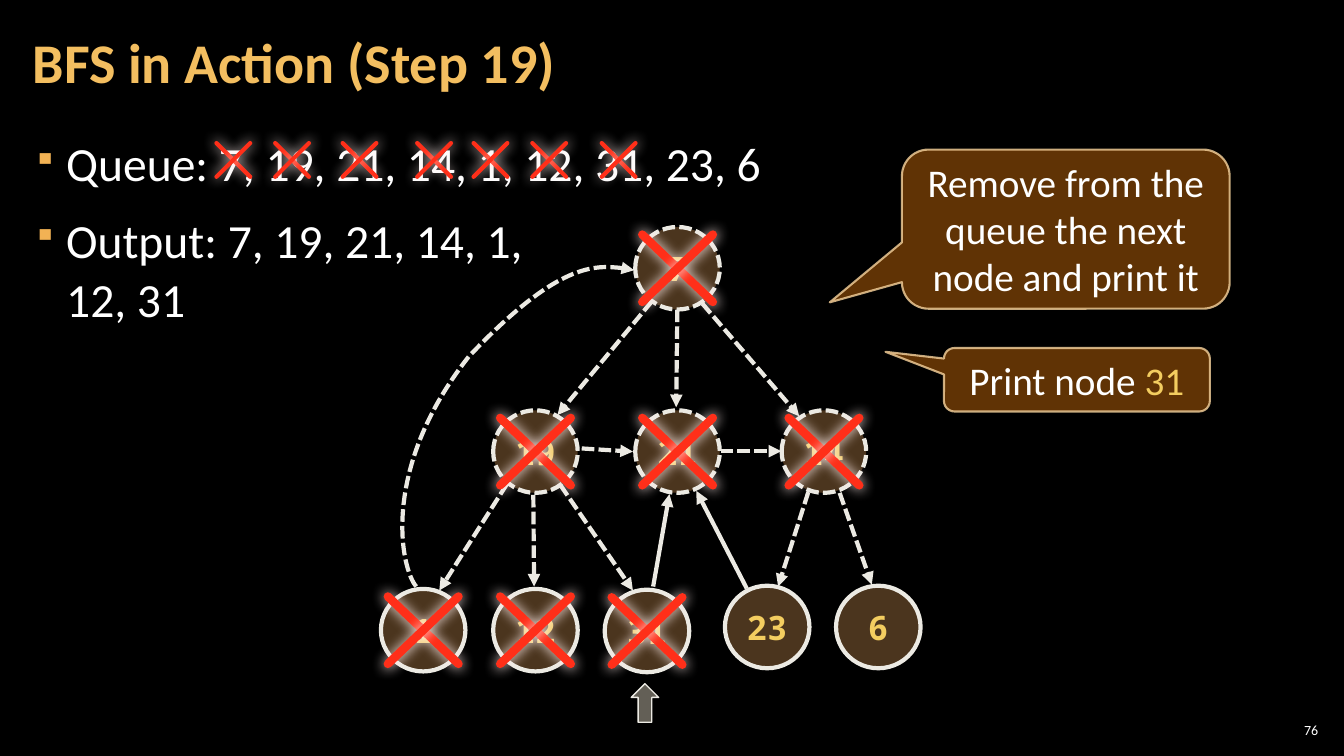
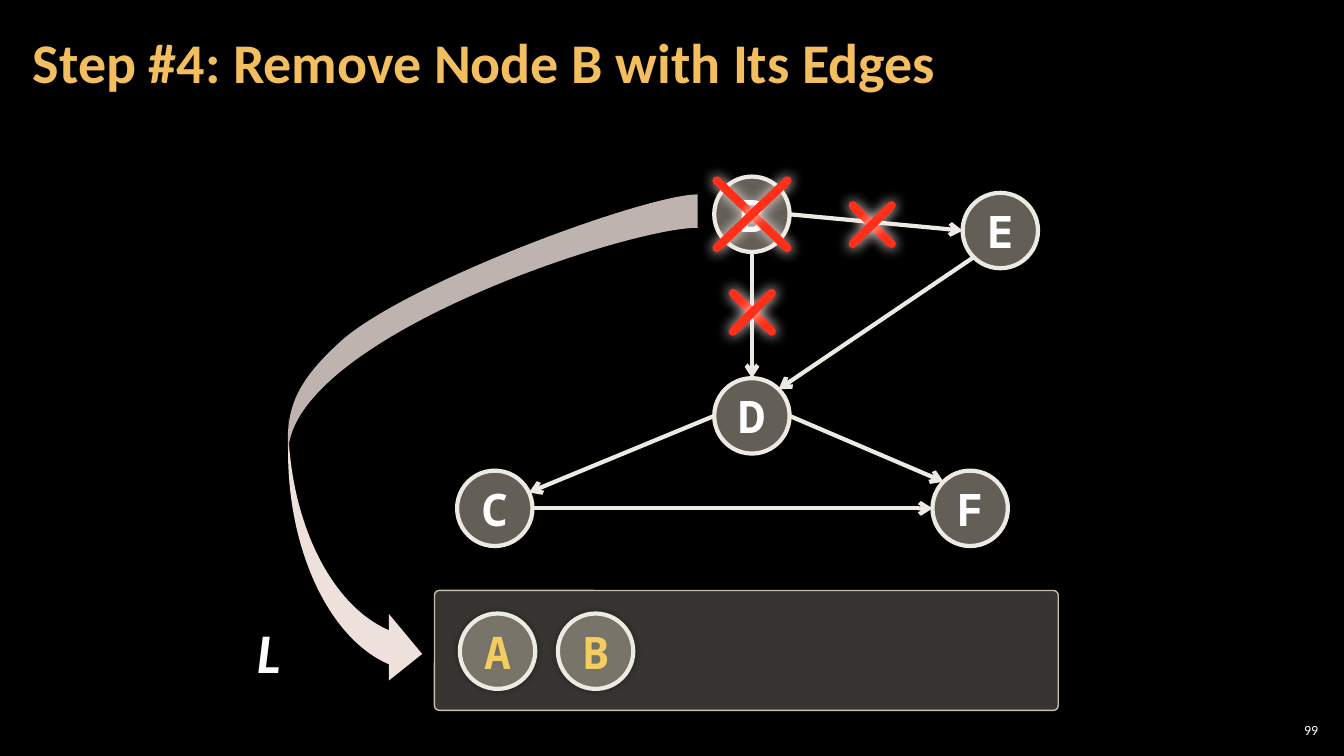
"""Build two slides that step through breadth-first search and topological sorting."""
from dataclasses import dataclass
from math import cos, radians, sin

from lxml.etree import SubElement
from pptx import Presentation
from pptx.dml.color import RGBColor as Rgb
from pptx.enum.dml import MSO_LINE
from pptx.enum.shapes import MSO_CONNECTOR, MSO_SHAPE as Preset
from pptx.enum.text import MSO_ANCHOR as Anchor, PP_ALIGN as Align
from pptx.oxml.ns import qn
from pptx.util import Cm, Pt


@dataclass(frozen=True)
class Theme:
    background: str = "000000"
    text: str = "FFFFFF"
    title: str = "F3BE60"
    bullet: str = "F2B254"
    accent: str = "F3CD60"
    outline: str = "ECEAE3"
    brown: str = "6C4C2C"
    stone: str = "C7BFAC"
    tray: str = "D9D5C7"
    callout: str = "663606"
    callout_line: str = "F8D49E"
    cross: str = "FF2F19"
    glow: str = "FFEDEB"
    ribbon: str = "EEE0DB"
    sans: str = "Calibri"
    mono: str = "Noto Sans Mono"
    title_size: int = 40
    body_size: int = 34
    letter_size: int = 32
    callout_size: int = 28
    node_size: int = 24
    number_size: int = 10


def cubic(start, first, second, end, steps=32):
    for step in range(1, steps + 1):
        t = step / steps
        weights = ((1 - t) ** 3, 3 * t * (1 - t) ** 2, 3 * t * t * (1 - t), t ** 3)
        yield tuple(
            sum(weight * point[axis] for weight, point in zip(weights, (start, first, second, end)))
            for axis in (0, 1)
        )


def rim(node, angle):
    turn = radians(angle)
    return (
        (node.left + node.width / 2 * (1 + cos(turn))) / Cm(1),
        (node.top + node.height / 2 * (1 - sin(turn))) / Cm(1),
    )


class SlideBuilder:
    def __init__(self, presentation, theme):
        self.presentation = presentation
        self.theme = theme
        self.slide = None

    def start(self, title, number):
        theme = self.theme
        self.slide = self.presentation.slides.add_slide(self.presentation.slide_layouts[6])
        fill = self.slide.background.fill
        fill.solid()
        fill.fore_color.rgb = Rgb.from_string(theme.background)
        paragraph = self.text_box((0.53, 0.12, 26.59, 3.07), title, theme.title_size, theme.title, bold=True)
        paragraph.line_spacing = 0.9
        self.text_box((32.13, 18.14, 1.19, 0.53), number, theme.number_size, align=Align.RIGHT, side=0.1)

    def style_font(self, paragraph, size, color=None, name=None, bold=False, italic=False):
        font = paragraph.font
        font.name = name or self.theme.sans
        font.size = Pt(size)
        font.bold = bold
        font.italic = italic
        font.color.rgb = Rgb.from_string(color or self.theme.text)

    def frame(self, box, side=0.3, anchor=Anchor.MIDDLE):
        frame = self.slide.shapes.add_textbox(*map(Cm, box)).text_frame
        frame.word_wrap = True
        frame.vertical_anchor = anchor
        frame.margin_left = frame.margin_right = Cm(side)
        frame.margin_top = frame.margin_bottom = Cm(0.1)
        return frame

    def text_box(self, box, text, size, color=None, align=Align.LEFT, side=0.3, bold=False, italic=False):
        paragraph = self.frame(box, side).paragraphs[0]
        paragraph.text = text
        paragraph.alignment = align
        self.style_font(paragraph, size, color, bold=bold, italic=italic)
        return paragraph

    def bullets(self, box, items):
        frame = self.frame(box, anchor=Anchor.TOP)
        for index, item in enumerate(items):
            paragraph = frame.add_paragraph() if index else frame.paragraphs[0]
            paragraph.text = item
            paragraph.line_spacing = 1.05
            paragraph.space_before = Pt(6 if index else 0)
            paragraph.space_after = Pt(6)
            properties = paragraph._p.get_or_add_pPr()
            properties.set("marL", str(Cm(0.84)))
            properties.set("indent", str(-Cm(0.84)))
            color = SubElement(properties, qn("a:buClr"))
            SubElement(color, qn("a:srgbClr"), val=self.theme.bullet)
            SubElement(properties, qn("a:buSzPct"), val="70000")
            SubElement(properties, qn("a:buChar"), char="▪")
            self.style_font(paragraph, self.theme.body_size)

    def paint(self, shape, color, opacity=100):
        shape.fill.solid()
        shape.fill.fore_color.rgb = Rgb.from_string(color)
        self.fade(shape.element.spPr, opacity)

    def fade(self, parent, opacity):
        if opacity < 100:
            color = parent.find(qn("a:solidFill"))[0]
            SubElement(color, qn("a:alpha"), val=str(opacity * 1000))

    def stroke(self, shape, color, width, opacity=100, dashed=False, tail=None, cap=None):
        shape.line.color.rgb = Rgb.from_string(color)
        shape.line.width = Pt(width)
        if dashed:
            shape.line.dash_style = MSO_LINE.SQUARE_DOT
        line = shape.element.spPr.find(qn("a:ln"))
        self.fade(line, opacity)
        if cap:
            line.set("cap", cap)
        if tail:
            SubElement(line, qn("a:tailEnd"), type=tail)

    def shade(self, shape, color=None, opacity=100, blur=0):
        properties = shape.element.spPr
        effects = properties.find(qn("a:effectLst"))
        if effects is None:
            effects = SubElement(properties, qn("a:effectLst"))
        if color:
            shadow = SubElement(effects, qn("a:outerShdw"), blurRad=str(Pt(blur)), dist="0", algn="ctr", rotWithShape="0")
            tint = SubElement(shadow, qn("a:srgbClr"), val=color)
            SubElement(tint, qn("a:alpha"), val=str(opacity * 1000))

    def preset(self, kind, box, color, opacity, line, width, line_opacity=100, dashed=False):
        shape = self.slide.shapes.add_shape(kind, *map(Cm, box))
        shape.shadow.inherit = False
        self.paint(shape, color, opacity)
        self.stroke(shape, line, width, line_opacity, dashed)
        return shape

    def node(self, label, box, size, fill, opacity, color, dashed=False, shaded=False):
        shape = self.preset(Preset.OVAL, box, fill, opacity, self.theme.outline, 3, dashed=dashed)
        frame = shape.text_frame
        frame.word_wrap = False
        frame.vertical_anchor = Anchor.MIDDLE
        paragraph = frame.paragraphs[0]
        paragraph.text = label
        paragraph.alignment = Align.CENTER
        self.style_font(paragraph, size, color, self.theme.mono, bold=True)
        if shaded:
            self.shade(shape, self.theme.background, 40, 5)
        return shape

    def callout(self, box, tip, runs):
        theme = self.theme
        shape = self.preset(Preset.ROUNDED_RECTANGULAR_CALLOUT, box, theme.callout, 95, theme.callout_line, 1.5, 80)
        shape.adjustments[0], shape.adjustments[1] = tip
        frame = shape.text_frame
        frame.word_wrap = True
        frame.vertical_anchor = Anchor.MIDDLE
        paragraph = frame.paragraphs[0]
        paragraph.alignment = Align.CENTER
        self.style_font(paragraph, theme.callout_size)
        for text, color in runs:
            run = paragraph.add_run()
            run.text = text
            run.font.color.rgb = Rgb.from_string(color)

    def connector(self, shapes, start, end):
        return shapes.add_connector(MSO_CONNECTOR.STRAIGHT, *map(Cm, (*start, *end)))

    def edge(self, start, end, tail, dashed=False):
        connector = self.connector(self.slide.shapes, start, end)
        self.stroke(connector, self.theme.outline, 3, dashed=dashed, tail=tail)
        self.shade(connector)

    def cross(self, center, width, height, weight):
        group = self.slide.shapes.add_group_shape()
        x, y = center
        for rise in (-height / 2, height / 2):
            connector = self.connector(group.shapes, (x - width / 2, y + rise), (x + width / 2, y - rise))
            self.stroke(connector, self.theme.cross, weight, cap="rnd")
            self.shade(connector, self.theme.glow, 100, 10)

    def strike(self, node):
        center = (rim(node, 90)[0], rim(node, 0)[1])
        self.cross(center, 1.78, 1.7, 6)

    def outline(self, contours, closed):
        extent = []
        for _, start, segments in contours:
            extent.append(start)
            for segment in segments:
                extent.extend(cubic(extent[-1], *segment) if len(segment) == 3 else segment)
        corners = [tuple(Cm(pick(axis)) for axis in zip(*extent)) for pick in (min, max)]
        builder = self.slide.shapes.build_freeform(*corners[0])
        builder.add_line_segments(corners[1:], close=False)
        shape = builder.convert_to_shape()
        shape.shadow.inherit = False
        outlines = next(shape.element.spPr.iter(qn("a:pathLst")))
        outlines.remove(outlines[0])
        size = {"w": str(shape.width), "h": str(shape.height)}
        for shading, start, segments in contours:
            contour = SubElement(outlines, qn("a:path"), fill=shading, **size)
            for index, segment in enumerate([(start,), *segments]):
                tag = "a:cubicBezTo" if len(segment) == 3 else "a:lnTo" if index else "a:moveTo"
                command = SubElement(contour, qn(tag))
                for x, y in segment:
                    SubElement(command, qn("a:pt"), x=str(Cm(x) - shape.left), y=str(Cm(y) - shape.top))
            if closed:
                SubElement(contour, qn("a:close"))
        return shape

    def curved_edge(self, start, segments):
        shape = self.outline([("none", start, segments)], closed=False)
        shape.fill.background()
        self.stroke(shape, self.theme.outline, 3, dashed=True, tail="triangle")

    def ribbon(self, contours):
        shape = self.outline(contours, closed=True)
        self.paint(shape, self.theme.ribbon)
        shape.line.fill.background()


def search_slide(builder):
    theme = builder.theme
    builder.start("BFS in Action (Step 19)", "76")
    builder.bullets(
        (0.53, 3.2, 32.79, 15.47),
        ("Queue: 7, 19, 21, 14, 1, 12, 31, 23, 6", "Output: 7, 19, 21, 14, 1,\v12, 31"),
    )
    for x in (5.88, 7.36, 9.06, 10.94, 12.36, 13.84, 15.59):
        builder.cross((x, 4.03), 0.85, 0.85, 3)
    builder.preset(Preset.UP_ARROW, (15.91, 17.23, 0.69, 0.97), theme.stone, 50, theme.outline, 1)
    builder.callout(
        (22.73, 3.77, 8.26, 4.01), (-0.72, 0.46), [("Remove from the queue the next node and print it", theme.text)]
    )
    builder.callout(
        (23.79, 8.77, 6.7, 1.6), (-0.72, -0.44), [("Print node ", theme.text), ("31", theme.accent)]
    )
    explored = (
        ((16.43, 7.59), (14.05, 10.46)), ((17.07, 7.8), (17.04, 10.26)), ((17.7, 7.65), (20.14, 10.49)),
        ((14.66, 11.3), (15.95, 11.38)), ((18.16, 11.37), (19.69, 11.37)),
        ((12.78, 12.19), (11.07, 14.88)), ((13.44, 12.47), (13.46, 14.78)), ((14.12, 12.22), (15.95, 14.88)),
        ((20.37, 12.4), (19.61, 14.78)), ((21.16, 12.42), (21.97, 14.73)),
    )
    pending = (((16.46, 14.78), (16.87, 12.45)), ((18.82, 14.83), (17.55, 12.37)))
    for edges, dashed in ((explored, True), (pending, False)):
        for start, end in edges:
            builder.edge(start, end, "triangle", dashed)
    builder.curved_edge(
        (10.49, 14.78),
        [((10.11, 14.35), (9.55, 11.86), (11.81, 8.99)), ((14.07, 6.6), (15.34, 6.65), (15.98, 6.81))],
    )
    finished = {"7", "19", "21", "14"}
    waiting = {"23", "6"}
    places = {
        "7": (16.01, 5.72), "19": (12.43, 10.34), "21": (16.01, 10.34), "14": (19.7, 10.34),
        "1": (9.6, 14.84), "12": (12.43, 14.84), "31": (15.24, 14.86), "23": (18.27, 14.76), "6": (21.07, 14.76),
    }
    for label, place in places.items():
        box = (*place, 2.13, 2.08)
        node = builder.node(label, box, theme.node_size, theme.brown, 70, theme.accent, label in finished)
        if label not in waiting:
            builder.strike(node)


def sorting_slide(builder):
    theme = builder.theme
    builder.start("Step #4: Remove Node B with Its Edges", "99")
    tray = builder.preset(Preset.ROUNDED_RECTANGLE, (10.95, 14.88, 15.72, 3.02), theme.tray, 25, theme.stone, 1)
    tray.adjustments[0] = 0.04
    style = (theme.letter_size, theme.stone, 50)
    places = {"B": (18, 4.45), "C": (11.52, 11.86), "D": (18, 9.53), "E": (24.26, 4.86), "F": (23.5, 11.86)}
    nodes = {
        label: builder.node(label, (*place, 1.9, 1.9), *style, theme.text) for label, place in places.items()
    }
    links = (
        ("D", 0, "F", 135), ("B", 270, "D", 90), ("D", 180, "C", 25),
        ("C", 0, "F", 180), ("B", 0, "E", 180), ("E", 225, "D", 45),
    )
    for source, leave, target, arrive in links:
        builder.edge(rim(nodes[source], leave), rim(nodes[target], arrive), "arrow")
    builder.strike(nodes["B"])
    for center in ((21.98, 5.66), (18.96, 7.87)):
        builder.cross(center, 0.98, 0.97, 6)
    for label, left in (("A", 11.59), ("B", 14.06)):
        builder.node(label, (left, 15.46, 1.9, 1.9), *style, theme.accent, shaded=True)
    builder.text_box(
        (5.72, 15.46, 2.11, 1.88), "L", theme.title_size, align=Align.CENTER, bold=True, italic=True
    )
    arrow = ("norm", (7.26, 10.54), [
        ((7.26, 13.06), (8.31, 15.24), (9.8, 15.88)),
        ((9.8, 15.47),), ((10.64, 16.48),), ((9.8, 17.15),), ((9.8, 16.74),),
        ((8.31, 16.1), (7.26, 13.89), (7.26, 11.38)),
    ])
    band = ("darkenLess", (17.58, 5.74), [
        ((15.8, 5.74), (7.39, 8.51), (7.26, 11.38)),
        ((7.21, 10.31), (7.42, 9.63), (8.69, 8.51)),
        ((10.52, 7.01), (16.33, 4.9), (17.58, 4.9)),
    ])
    builder.ribbon([arrow, band])


def main():
    presentation = Presentation()
    presentation.slide_width = Cm(33.87)
    presentation.slide_height = Cm(19.05)
    builder = SlideBuilder(presentation, Theme())
    search_slide(builder)
    sorting_slide(builder)
    presentation.save("out.pptx")


if __name__ == "__main__":
    main()
